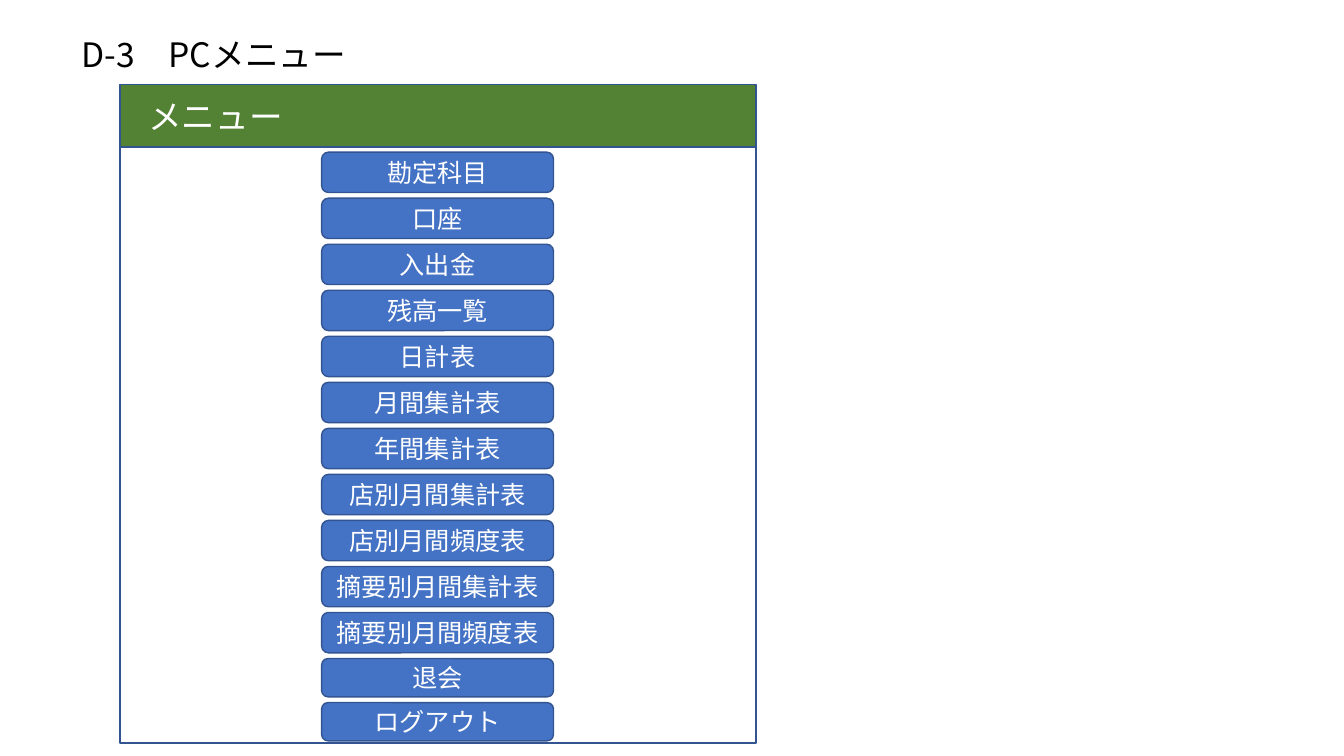
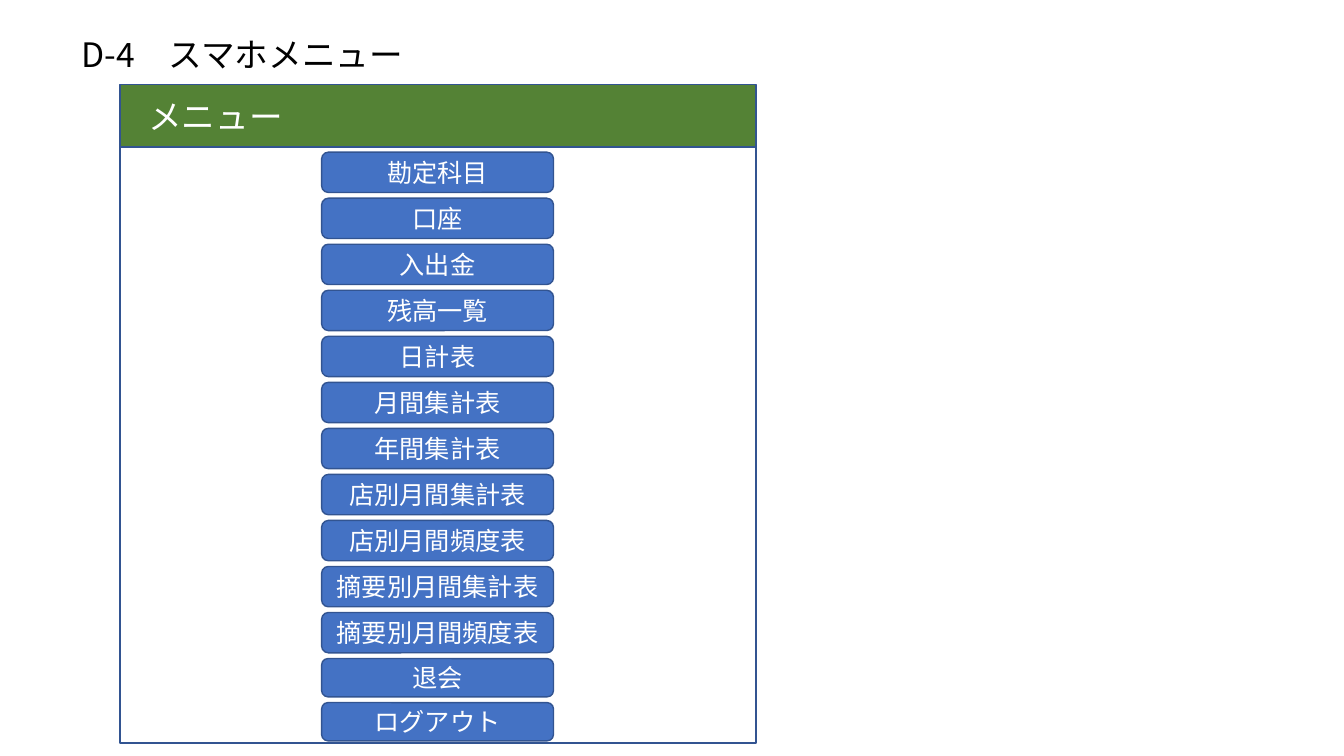
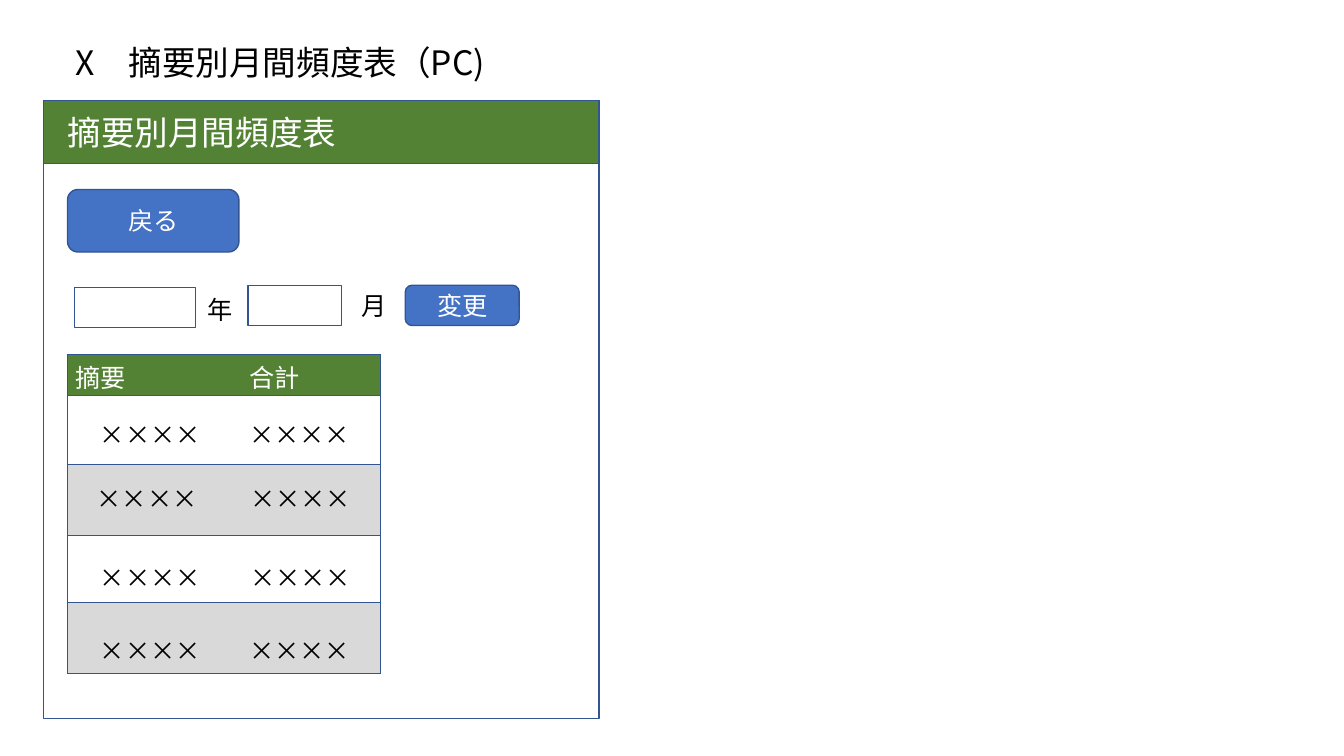
import pptx
import pptx.util
import pptx.dml.color
import pptx.enum.shapes
import pptx.enum.text
import pptx.oxml.ns
from lxml import etree

PX = 9144  # EMU per px, 100 px to the inch
SLIDE_SIZE = (1333, 750)

RECT = pptx.enum.shapes.MSO_SHAPE.RECTANGLE
ROUNDED = pptx.enum.shapes.MSO_SHAPE.ROUNDED_RECTANGLE
ALIGN = pptx.enum.text.PP_ALIGN
ANCHOR = pptx.enum.text.MSO_ANCHOR


class Theme:
    font = "Noto Sans CJK JP"
    heading_size = 24
    body_size = 18
    line_width = 1
    ink = "000000"
    paper = "FFFFFF"
    band = "548235"
    button = "4472C4"
    outline = "325491"
    stripe = "D9D9D9"


MENU_TITLES = ["D-3　PCメニュー", "D-4　スマホメニュー"]
MENU_TITLE_BOX = (71, 29, 545, 50)
MENU_HEADING = "メニュー"
MENU_FRAME = (119, 88, 631, 649)
MENU_BAND = (119, 84, 631, 62)
MENU_BUTTONS = [  # label, height
    ("勘定科目", 40),
    ("口座", 40),
    ("入出金", 40),
    ("残高一覧", 40),
    ("日計表", 40),
    ("月間集計表", 40),
    ("年間集計表", 40),
    ("店別月間集計表", 40),
    ("店別月間頻度表", 40),
    ("摘要別月間集計表", 40),
    ("摘要別月間頻度表", 40),
    ("退会", 38),
    ("ログアウト", 38),
]
MENU_BUTTON_COLUMN = (319, 151, 230, 584)

REPORT_TITLE = "X　摘要別月間頻度表（PC)"
REPORT_TITLE_BOX = (65, 37, 471, 50)
REPORT_HEADING = "摘要別月間頻度表"
REPORT_FRAME = (43, 100, 551, 613)
REPORT_BAND = (43, 100, 551, 62)
REPORT_BUTTONS = [("戻る", (67, 188, 170, 62)), ("変更", (402, 283, 113, 40))]
REPORT_FIELDS = [(74, 285, 120, 40), (246, 283, 93, 40)]
REPORT_LABELS = [("年", (196, 287, 58, 40)), ("月", (349, 283, 43, 40))]
SUMMARY_ORIGIN = (67, 352)
SUMMARY_COLUMNS = [170, 140]
SUMMARY_ROWS = [  # cells, height, text top, left insets, fill, text colour
    (("摘要", "合計"), 40, 3, (8, 10), Theme.band, Theme.paper),
    (("××××", "××××"), 69, 20, (32, 10), Theme.paper, Theme.ink),
    (("××××", "××××"), 70, 14, (29, 11), Theme.stripe, Theme.ink),
    (("××××", "××××"), 67, 23, (32, 11), Theme.paper, Theme.ink),
    (("××××", "××××"), 70, 28, (32, 10), Theme.stripe, Theme.ink),
]


def emu(*lengths):
    return [round(length * PX) for length in lengths]


def rgb(colour):
    return pptx.dml.color.RGBColor.from_string(colour)


def write(frame, text, size, colour, align=ALIGN.LEFT, anchor=ANCHOR.TOP):
    frame.word_wrap = True
    frame.vertical_anchor = anchor
    paragraph = frame.paragraphs[0]
    paragraph.alignment = align
    run = paragraph.add_run()
    run.text = text
    run.font.size = pptx.util.Pt(size)
    run.font.name = Theme.font
    run.font.color.rgb = rgb(colour)
    east_asian = etree.SubElement(run.font._element, pptx.oxml.ns.qn("a:ea"))
    east_asian.set("typeface", Theme.font)


def add_panel(slide, kind, box, fill=None):
    panel = slide.shapes.add_shape(kind, *emu(*box))
    panel.shadow.inherit = False
    if fill:
        panel.fill.solid()
        panel.fill.fore_color.rgb = rgb(fill)
    else:
        panel.fill.background()
    panel.line.color.rgb = rgb(Theme.outline)
    panel.line.width = pptx.util.Pt(Theme.line_width)
    return panel


def add_button(slide, label, box):
    button = add_panel(slide, ROUNDED, box, Theme.button)
    write(button.text_frame, label, Theme.body_size, Theme.paper,
          ALIGN.CENTER, ANCHOR.MIDDLE)


def add_label(slide, text, box):
    label = slide.shapes.add_textbox(*emu(*box))
    write(label.text_frame, text, Theme.body_size, Theme.ink)


def add_screen(deck, title, title_box, heading, frame, band, inset):
    """Add a slide with its title and an outlined screen under a green band."""
    slide = deck.slides.add_slide(deck.slide_layouts[5])
    name = slide.shapes.title
    name.left, name.top, name.width, name.height = emu(*title_box)
    name.text_frame.auto_size = pptx.enum.text.MSO_AUTO_SIZE.NONE
    write(name.text_frame, title, Theme.heading_size, Theme.ink)
    add_panel(slide, RECT, frame)
    header = add_panel(slide, RECT, band, Theme.band)
    header.text_frame.margin_left = inset * PX
    write(header.text_frame, heading, Theme.heading_size, Theme.paper,
          anchor=ANCHOR.MIDDLE)
    return slide


def set_borders(cell, shown):
    """Outline the named sides (L, R, T, B) and clear the others."""
    properties = cell._tc.get_or_add_tcPr()
    for side in "LRTB":
        border = etree.SubElement(properties, pptx.oxml.ns.qn("a:ln" + side))
        if side in shown:
            border.set("w", str(pptx.util.Pt(Theme.line_width)))
            fill = etree.SubElement(border, pptx.oxml.ns.qn("a:solidFill"))
            colour = etree.SubElement(fill, pptx.oxml.ns.qn("a:srgbClr"))
            colour.set("val", Theme.outline)
        else:
            etree.SubElement(border, pptx.oxml.ns.qn("a:noFill"))


def add_summary(slide):
    size = (sum(SUMMARY_COLUMNS), sum(row[1] for row in SUMMARY_ROWS))
    table = slide.shapes.add_table(len(SUMMARY_ROWS), len(SUMMARY_COLUMNS),
                                   *emu(*SUMMARY_ORIGIN, *size)).table
    table.horz_banding = False
    for column, width in zip(table.columns, SUMMARY_COLUMNS):
        column.width = width * PX
    for row, (texts, height, top, insets, fill, ink) in zip(table.rows, SUMMARY_ROWS):
        row.height = height * PX
        for cell, text, inset, side in zip(row.cells, texts, insets, "LR"):
            cell.margin_left, cell.margin_top = emu(inset, top)
            cell.margin_right = cell.margin_bottom = 0
            set_borders(cell, "TB" + side)
            cell.fill.solid()
            cell.fill.fore_color.rgb = rgb(fill)
            write(cell.text_frame, text, Theme.body_size, ink)
            cell.vertical_anchor = ANCHOR.TOP


def add_menu(deck, title):
    slide = add_screen(deck, title, MENU_TITLE_BOX, MENU_HEADING,
                       MENU_FRAME, MENU_BAND, 28)
    left, top, width, column_height = MENU_BUTTON_COLUMN
    used = sum(height for _, height in MENU_BUTTONS)
    gap = (column_height - used) / (len(MENU_BUTTONS) - 1)
    for label, height in MENU_BUTTONS:
        add_button(slide, label, (left, top, width, height))
        top += height + gap


def add_report(deck):
    slide = add_screen(deck, REPORT_TITLE, REPORT_TITLE_BOX, REPORT_HEADING,
                       REPORT_FRAME, REPORT_BAND, 24)
    for label, box in REPORT_BUTTONS:
        add_button(slide, label, box)
    for box in REPORT_FIELDS:
        add_panel(slide, RECT, box)
    for text, box in REPORT_LABELS:
        add_label(slide, text, box)
    add_summary(slide)


def main():
    deck = pptx.Presentation()
    deck.slide_width, deck.slide_height = emu(*SLIDE_SIZE)
    for title in MENU_TITLES:
        add_menu(deck, title)
    add_report(deck)
    deck.save("out.pptx")


if __name__ == "__main__":
    main()
